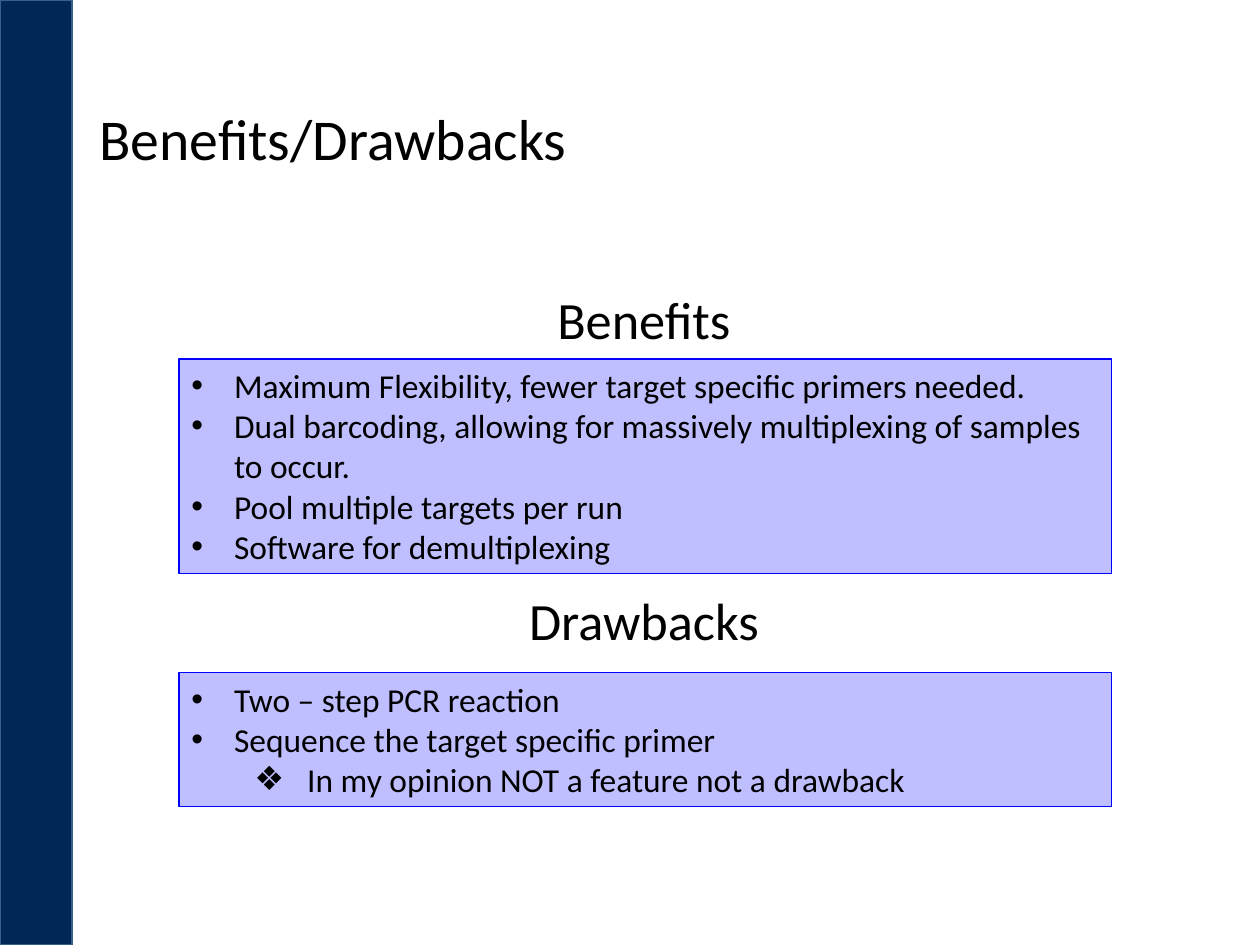
from lxml import etree
from pptx import Presentation
from pptx import util as u
from pptx.dml import color
from pptx.enum import shapes, text
from pptx.oxml import ns

WIDTH, HEIGHT = 10, 7.5
FONT = "Calibri"
BLACK = "000000"
HEADING_LEFT, HEADING_WIDTH, HEADING_HEIGHT = 2.05, 6.12, 0.85
PANEL_LEFT, PANEL_WIDTH = 1.42, 7.4
BULLETS = [("•", 0.34, 0.34), ("❖", 0.92, 0.42)]

SECTIONS = [
    ("Benefits", 2.1, 2.85, 1.7, [
        (0, "Maximum Flexibility, fewer target specific primers needed."),
        (0, "Dual barcoding, allowing for massively multiplexing of samples to occur."),
        (0, "Pool multiple targets per run"),
        (0, "Software for demultiplexing"),
    ]),
    ("Drawbacks", 4.49, 5.34, 1.06, [
        (0, "Two – step PCR reaction"),
        (0, "Sequence the target specific primer"),
        (1, "In my opinion NOT a feature not a drawback"),
    ]),
]


def rgb(value):
    return color.RGBColor.from_string(value)


def inches(*lengths):
    return [u.Inches(length) for length in lengths]


def write(para, words, size):
    para.text = words
    para.font.name = FONT
    para.font.size = u.Pt(size)
    para.font.color.rgb = rgb(BLACK)


def add_rectangle(page, place, fill, line, weight):
    box = page.shapes.add_shape(shapes.MSO_SHAPE.RECTANGLE, *inches(*place))
    box.shadow.inherit = False
    box.fill.solid()
    box.fill.fore_color.rgb = rgb(fill)
    box.line.color.rgb = rgb(line)
    box.line.width = u.Pt(weight)
    return box


def set_opacity(box, percent):
    fill = box.fill._xPr.find(ns.qn("a:solidFill"))
    etree.SubElement(fill[0], ns.qn("a:alpha"), val=str(percent * 1000))


def add_title(page, words):
    title = page.shapes.title
    title.left, title.top, title.width, title.height = inches(0.69, 0.4, 8.62, 1.45)
    title.text_frame.vertical_anchor = text.MSO_ANCHOR.MIDDLE
    para = title.text_frame.paragraphs[0]
    para.alignment = text.PP_ALIGN.LEFT
    para.line_spacing = 0.9
    write(para, words, 33)


def add_heading(page, words, top):
    box = page.shapes.add_textbox(*inches(HEADING_LEFT, top, HEADING_WIDTH, HEADING_HEIGHT))
    frame = box.text_frame
    frame.word_wrap = True
    frame.vertical_anchor = text.MSO_ANCHOR.MIDDLE
    frame.margin_left = frame.margin_right = u.Inches(0.07)
    frame.margin_top = frame.margin_bottom = u.Inches(0.03)
    para = frame.paragraphs[0]
    para.alignment = text.PP_ALIGN.CENTER
    write(para, words, 29.9)


def add_bullet(para, level):
    symbol, margin, hanging = BULLETS[level]
    para.level = level
    properties = para._p.get_or_add_pPr()
    properties.set("marL", str(u.Inches(margin)))
    properties.set("indent", str(-u.Inches(hanging)))
    etree.SubElement(properties, ns.qn("a:buFont"), typeface="Arial")
    etree.SubElement(properties, ns.qn("a:buChar"), char=symbol)


def add_panel(page, top, height, items):
    box = add_rectangle(page, (PANEL_LEFT, top, PANEL_WIDTH, height), "0000FF", "0000FF", 0.75)
    set_opacity(box, 25)
    frame = box.text_frame
    frame.word_wrap = True
    frame.auto_size = text.MSO_AUTO_SIZE.SHAPE_TO_FIT_TEXT
    frame.vertical_anchor = text.MSO_ANCHOR.TOP
    for index, (level, words) in enumerate(items):
        para = frame.add_paragraph() if index else frame.paragraphs[0]
        para.alignment = text.PP_ALIGN.LEFT
        add_bullet(para, level)
        write(para, words, 19.1)


def main():
    deck = Presentation()
    deck.slide_width, deck.slide_height = inches(WIDTH, HEIGHT)
    page = deck.slides.add_slide(deck.slide_layouts[5])
    add_rectangle(page, (0, 0, 0.57, HEIGHT), "002755", "3A5F8C", 1)
    add_title(page, "Benefits/Drawbacks")
    for heading, heading_top, panel_top, panel_height, items in SECTIONS:
        add_heading(page, heading, heading_top)
        add_panel(page, panel_top, panel_height, items)
    deck.save("out.pptx")


if __name__ == "__main__":
    main()
